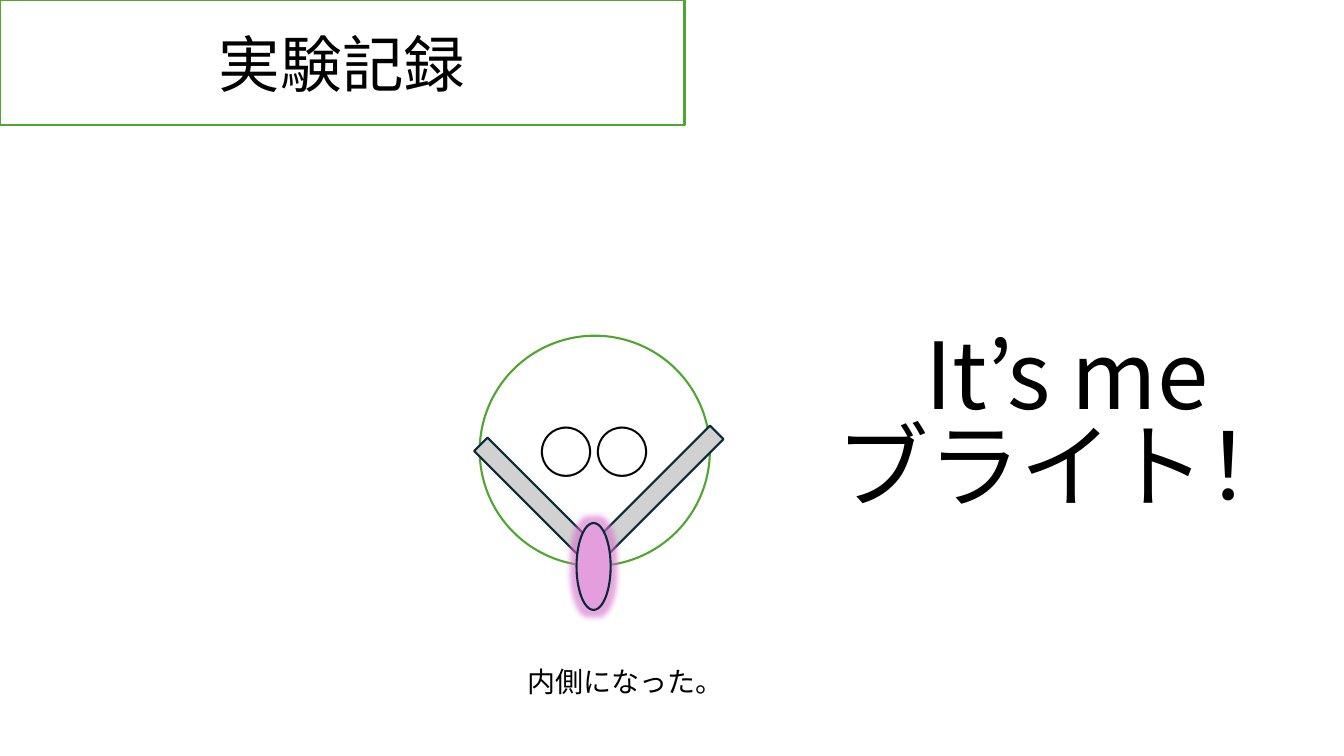
from dataclasses import dataclass

from lxml.etree import SubElement
from pptx import Presentation
from pptx.dml.color import RGBColor
from pptx.enum.shapes import MSO_SHAPE
from pptx.enum.text import MSO_ANCHOR, MSO_AUTO_SIZE, PP_ALIGN
from pptx.oxml.ns import qn
from pptx.util import Cm, Pt


@dataclass(frozen=True)
class Theme:
    font: str = "Noto Sans CJK JP"
    text: str = "000000"
    paper: str = "FFFFFF"
    green: str = "4EA72E"
    navy: str = "092A39"
    grey: str = "D1D1D1"
    pink: str = "E59EDD"
    glow: str = "D86DCB"
    title: int = 44
    eyes: int = 40
    caption: int = 20
    shout: int = 66
    line: float = 1.5


THEME = Theme()


def write(sp, lines, size, spacing=1.0):
    """Fill a shape with centred lines of text."""
    tf = sp.text_frame
    tf.word_wrap = True
    tf.auto_size = MSO_AUTO_SIZE.NONE
    tf.vertical_anchor = MSO_ANCHOR.MIDDLE
    tf.text = "\n".join(lines)
    for p in tf.paragraphs:
        p.alignment = PP_ALIGN.CENTER
        p.line_spacing = spacing
        p.space_before = Pt(0)
        p.font.size = Pt(size)
        p.font.name = THEME.font
        p.font.color.rgb = RGBColor.from_string(THEME.text)
        for r in p.runs:
            SubElement(r.font._element, qn("a:ea"), typeface=THEME.font)


def paint(sp, fill, line):
    sp.fill.solid()
    sp.fill.fore_color.rgb = RGBColor.from_string(fill)
    sp.line.color.rgb = RGBColor.from_string(line)
    sp.line.width = Pt(THEME.line)


def add_shape(s, kind, box, fill, line):
    sp = s.shapes.add_shape(kind, *map(Cm, box))
    sp.shadow.inherit = False
    paint(sp, fill, line)
    return sp


def add_glow(sp, color, radius, alpha):
    effects = sp._element.spPr.find(qn("a:effectLst"))
    glow = SubElement(effects, qn("a:glow"), rad=str(Pt(radius)))
    clr = SubElement(glow, qn("a:srgbClr"), val=color)
    SubElement(clr, qn("a:alpha"), val=str(alpha * 1000))


def add_title(s, box, text):
    sp = s.shapes.title
    sp.left, sp.top, sp.width, sp.height = map(Cm, box)
    paint(sp, THEME.paper, THEME.green)
    write(sp, [text], THEME.title)


def add_text(s, box, lines, size, spacing=1.0):
    write(s.shapes.add_textbox(*map(Cm, box)), lines, size, spacing)


def add_figure(s, left, top, size):
    """Round face with two arms and a glowing oval."""
    # Face with eyes
    face = add_shape(s, MSO_SHAPE.OVAL, (left, top, size, size),
                     THEME.paper, THEME.green)
    write(face, ["○○"], THEME.eyes)

    # Arms, turned to a V
    for dx, dy, angle in ((-0.58, 3.96, 45), (2.44, 3.66, 315)):
        arm = add_shape(s, MSO_SHAPE.RECTANGLE,
                        (left + dx, top + dy, 4.14, 0.48),
                        THEME.grey, THEME.navy)
        arm.rotation = angle

    # Glowing oval at the meeting point
    oval = add_shape(s, MSO_SHAPE.OVAL, (left + 2.44, top + 4.72, 0.86, 2.19),
                     THEME.pink, THEME.navy)
    add_glow(oval, THEME.glow, 8, 60)


def main():
    prs = Presentation()
    prs.slide_width, prs.slide_height = Cm(33.87), Cm(19.05)
    s = prs.slides.add_slide(prs.slide_layouts[5])

    add_title(s, (0, 0, 17.25, 3.15), "実験記録")
    add_text(s, (0.79, 13.36, 29.97, 7.6), ["内側になった。"], THEME.caption)
    add_figure(s, 12.09, 8.46, 5.8)
    add_text(s, (20.12, 3.96, 13.54, 13.62), ["It’s me", "ブライト！"],
             THEME.shout, 0.82)

    prs.save("out.pptx")


if __name__ == "__main__":
    main()
